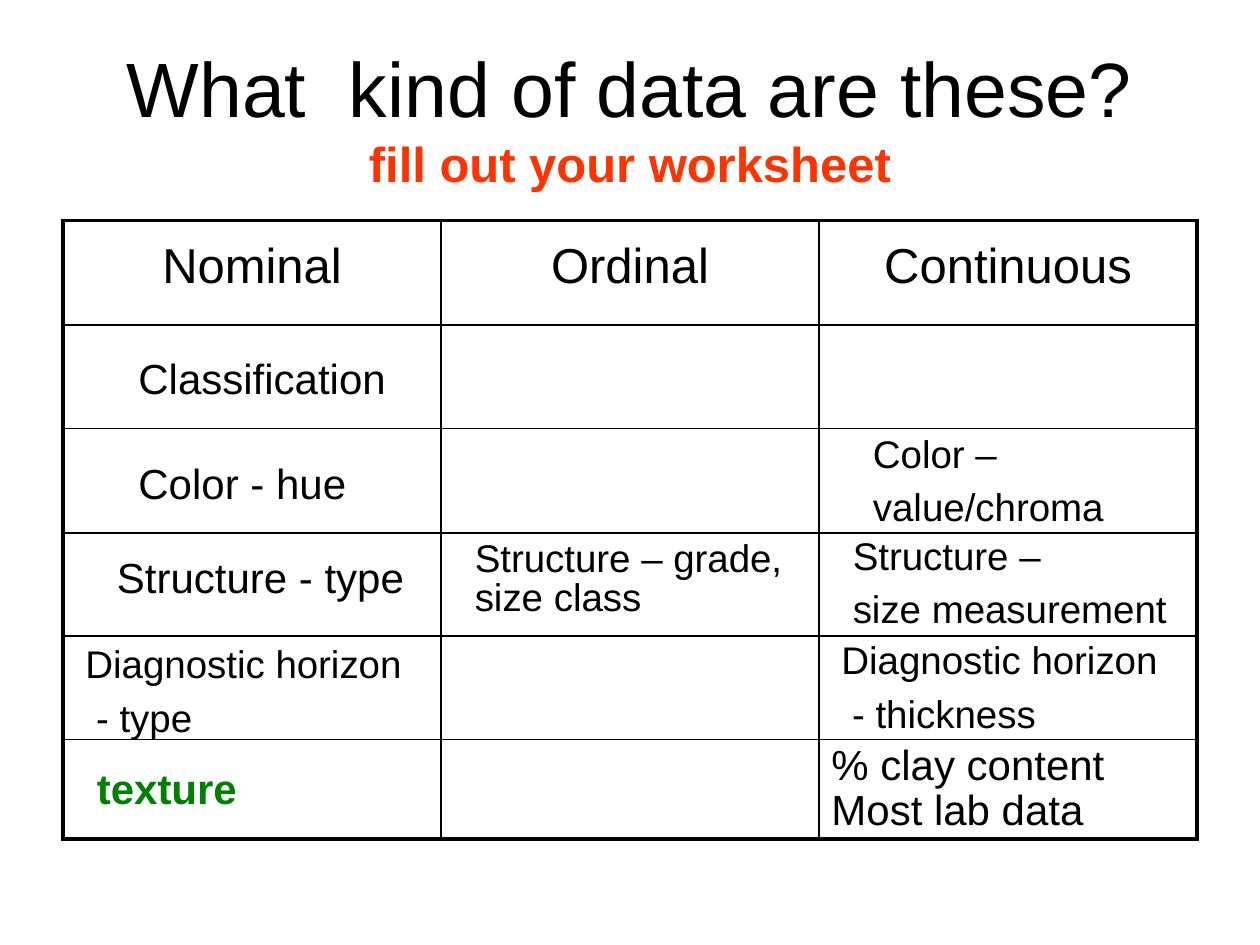
from lxml import etree
from pptx import Presentation
from pptx import util as u
from pptx.dml.color import RGBColor
from pptx.enum import text
from pptx.oxml import ns

COLORS = {"ink": "000000", "prompt": "FF3300", "texture": "008000"}
FONT = "Arial"
HEADINGS = ["Nominal", "Ordinal", "Continuous"]
ROW_HEIGHTS = [0.83, 0.82, 0.83, 0.82, 0.82, 0.79]
COLUMN_WIDTH = 3
OUTER_LINE, INNER_LINE = 2.25, 1

ENTRIES = [
    (1, 2.75, 2.17, 24, ["Classification"], {}),
    (1, 3.58, 1.85, 24, ["Color - hue"], {}),
    (6.83, 3.36, 2.04, 22, ["Color –", "value/chroma"], {}),
    (0.83, 4.33, 2.48, 24, ["Structure - type"], {}),
    (3.67, 4.19, 2.74, 22, ["Structure – grade,"], {}),
    (0.58, 5.03, 2.72, 22, ["Diagnostic horizon", " - type"], {}),
    (6.58, 5, 2.95, 22, ["Diagnostic horizon", " - thickness"], {"wrap": True}),
    (6.5, 6.17, 2.95, 24, ["Most lab data"], {"wrap": True}),
    (6.67, 4.17, 2.7, 22, ["Structure –", "size measurement"], {}),
    (3.67, 4.5, 2.7, 22, ["size class"], {"wrap": True}),
    (0.67, 6, 1.31, 24, ["texture"], {"color": "texture", "bold": True}),
    (6.5, 5.81, 2.37, 24, ["% clay content"], {}),
]


def set_values(target, values):
    for name, value in values.items():
        setattr(target, name, value)


def add_span(para, words, size, color="ink", bold=False):
    span = para.add_run()
    span.text = words
    set_values(span.font, {"name": FONT, "size": u.Pt(size), "bold": bold})
    span.font.color.rgb = RGBColor.from_string(COLORS[color])


def space_before(para, percent=20):
    spacing = etree.Element(ns.qn("a:spcBef"))
    etree.SubElement(spacing, ns.qn("a:spcPct"), val=str(percent * 1000))
    para._p.get_or_add_pPr().insert(0, spacing)


def add_title(page):
    title = page.shapes.title
    set_values(title, {"left": u.Inches(0.5), "top": u.Inches(0.3),
                       "width": u.Inches(9), "height": u.Inches(1.25)})
    set_values(title.text_frame, {"vertical_anchor": text.MSO_ANCHOR.MIDDLE,
                                  "auto_size": text.MSO_AUTO_SIZE.NONE,
                                  "word_wrap": True})
    para = title.text_frame.paragraphs[0]
    para.alignment = text.PP_ALIGN.CENTER
    add_span(para, "What  kind of data are these?", 44)
    para.add_line_break()
    add_span(para, "fill out your worksheet", 28, "prompt", True)


def set_borders(cell, widths):
    properties = cell._tc.get_or_add_tcPr()
    for side, width in widths.items():
        line = etree.SubElement(properties, ns.qn(f"a:ln{side}"), w=str(u.Pt(width)))
        fill = etree.SubElement(line, ns.qn("a:solidFill"))
        etree.SubElement(fill, ns.qn("a:srgbClr"), val=COLORS["ink"])


def add_grid(page):
    rows, columns = len(ROW_HEIGHTS), len(HEADINGS)
    table = page.shapes.add_table(
        rows, columns, u.Inches(0.5), u.Inches(1.75),
        u.Inches(COLUMN_WIDTH * columns), u.Inches(sum(ROW_HEIGHTS))).table
    set_values(table, {"first_row": False, "horz_banding": False})
    for column in table.columns:
        column.width = u.Inches(COLUMN_WIDTH)
    for r, height in enumerate(ROW_HEIGHTS):
        table.rows[r].height = u.Inches(height)
        for c in range(columns):
            cell = table.cell(r, c)
            edges = {"L": c == 0, "R": c == columns - 1,
                     "T": r == 0, "B": r == rows - 1}
            set_borders(cell, {side: OUTER_LINE if outer else INNER_LINE
                               for side, outer in edges.items()})
            cell.fill.background()
    for c, heading in enumerate(HEADINGS):
        cell = table.cell(0, c)
        cell.margin_top = u.Inches(0.15)
        para = cell.text_frame.paragraphs[0]
        para.alignment = text.PP_ALIGN.CENTER
        space_before(para)
        add_span(para, heading, 28)


def add_entry(page, left, top, width, size, lines, wrap=False, **style):
    height = 0.91 if len(lines) == 2 else 0.5 if size == 24 else 0.47
    box = page.shapes.add_textbox(*map(u.Inches, (left, top, width, height)))
    frame = box.text_frame
    set_values(frame, {"word_wrap": wrap,
                       "auto_size": text.MSO_AUTO_SIZE.SHAPE_TO_FIT_TEXT})
    for index, line in enumerate(lines):
        para = frame.add_paragraph() if index else frame.paragraphs[0]
        space_before(para)
        add_span(para, line, size, **style)


def main():
    deck = Presentation()
    set_values(deck, {"slide_width": u.Inches(10), "slide_height": u.Inches(7.5)})
    page = deck.slides.add_slide(deck.slide_layouts.get_by_name("Title Only"))
    add_title(page)
    add_grid(page)
    for left, top, width, size, lines, style in ENTRIES:
        add_entry(page, left, top, width, size, lines, **style)
    deck.save("out.pptx")


if __name__ == "__main__":
    main()
